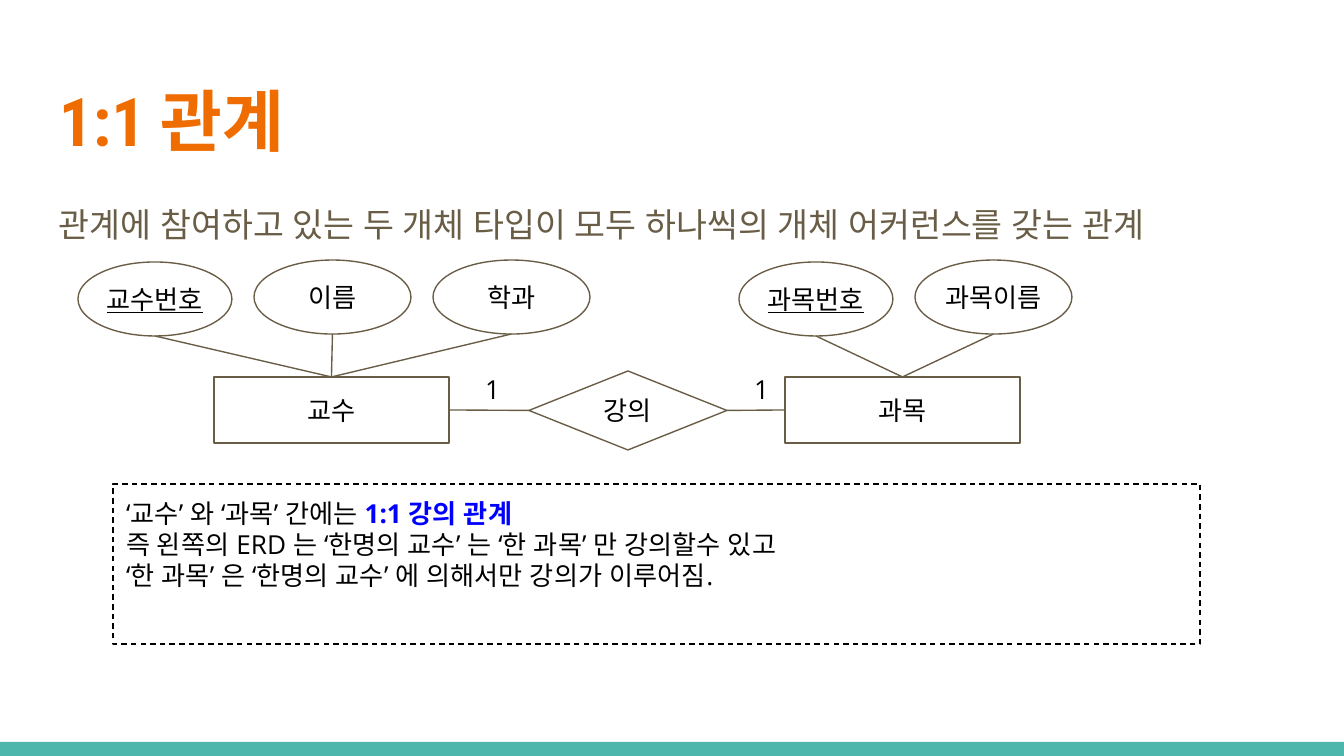
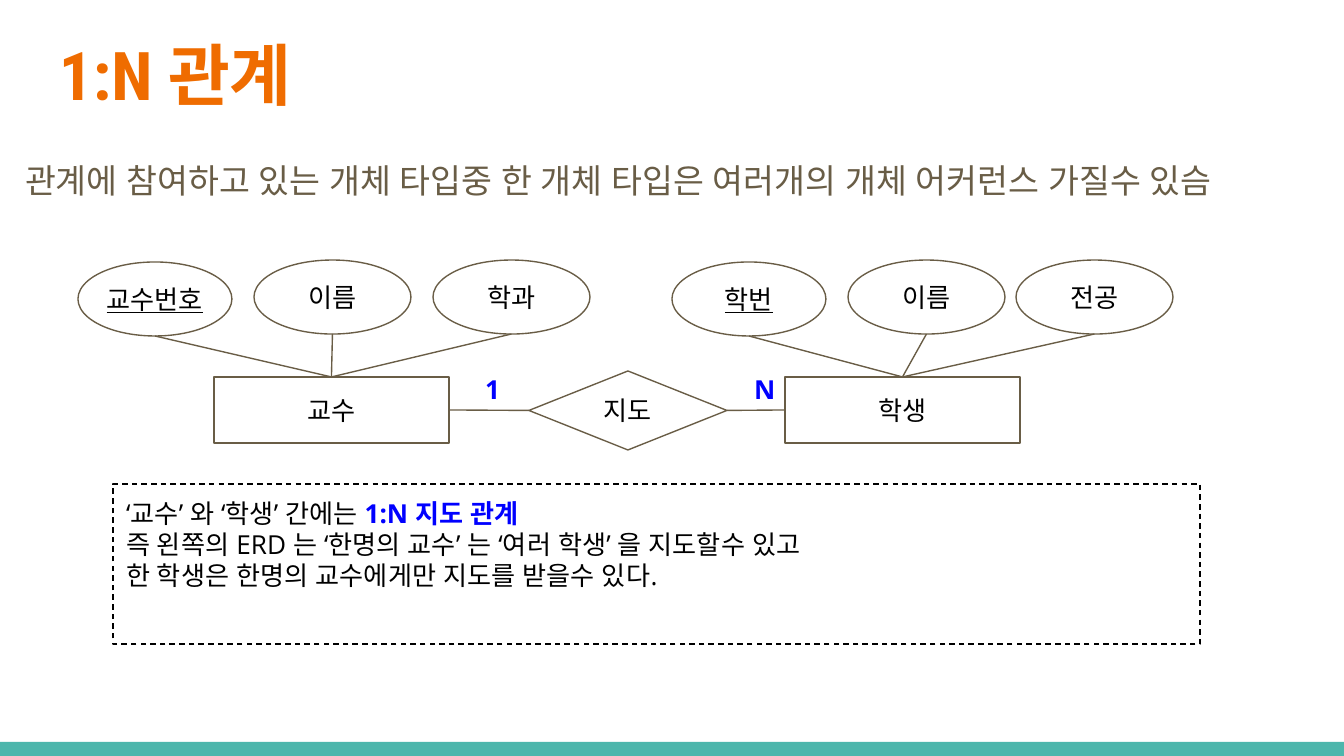
from dataclasses import dataclass

import pptx
import pptx.dml.color
import pptx.enum.dml
import pptx.enum.shapes
import pptx.enum.text
import pptx.oxml.ns
import pptx.util
from lxml import etree

SHAPE = pptx.enum.shapes.MSO_SHAPE
ALIGN = pptx.enum.text.PP_ALIGN
ANCHOR = pptx.enum.text.MSO_ANCHOR
EMU_PER_PX = 9144000 / 1344


@dataclass(frozen=True)
class Theme:
    white: str = "FFFFFF"
    black: str = "000000"
    band: str = "4DB6AC"
    title: str = "EF6C00"
    muted: str = "695D46"
    emphasis: str = "0000FF"
    title_font: str = "Roboto Condensed"
    body_font: str = "Open Sans"
    diagram_font: str = "Arial"
    title_size: int = 36
    lead_size: int = 18
    text_size: int = 14
    line_width: float = 0.75


THEME = Theme()

# Diagram geometry in px
ENTITY_TOP, ENTITY_WIDTH, ENTITY_HEIGHT = 377, 235, 66
LEFT_ENTITY, RIGHT_ENTITY = 214, 785
ATTRIBUTE_BOX = (260, 157, 74)  # top, width, height
KEY_BOX = (262, 154, 74)
PADDING = 13


def px(*lengths):
    return [pptx.util.Emu(round(length * EMU_PER_PX)) for length in lengths]


def rgb(color):
    return pptx.dml.color.RGBColor.from_string(color)


def style_paragraph(paragraph, name, size, color, bold=False):
    font = paragraph.font
    font.name, font.size, font.bold = name, pptx.util.Pt(size), bold
    font.color.rgb = rgb(color)
    # Hangul takes its typeface from the East Asian slot
    latin = font._element.find(pptx.oxml.ns.qn("a:latin"))
    east_asian = etree.Element(pptx.oxml.ns.qn("a:ea"), typeface=name)
    latin.addnext(east_asian)


def set_frame(frame, padding, anchor=ANCHOR.TOP):
    frame.word_wrap = True
    frame.vertical_anchor = anchor
    inset = px(padding)[0]
    frame.margin_left = frame.margin_right = inset
    frame.margin_top = frame.margin_bottom = inset


def add_text(slide, box, text, name, size, color, bold=False):
    frame = slide.shapes.add_textbox(*px(*box)).text_frame
    set_frame(frame, PADDING)
    paragraph = frame.paragraphs[0]
    paragraph.text = text
    style_paragraph(paragraph, name, size, color, bold)
    return paragraph


def add_box(slide, kind, box, fill=None, line=None):
    shape = slide.shapes.add_shape(kind, *px(*box))
    shape.shadow.inherit = False
    if fill:
        shape.fill.solid()
        shape.fill.fore_color.rgb = rgb(fill)
    else:
        shape.fill.background()
    if line:
        shape.line.color.rgb = rgb(line)
        shape.line.width = pptx.util.Pt(THEME.line_width)
    else:
        shape.line.fill.background()
    return shape


def add_node(slide, kind, box, text, underline=False):
    shape = add_box(slide, kind, box, THEME.white, THEME.muted)
    set_frame(shape.text_frame, 0, ANCHOR.MIDDLE)
    paragraph = shape.text_frame.paragraphs[0]
    paragraph.text = text
    paragraph.alignment = ALIGN.CENTER
    style_paragraph(paragraph, THEME.diagram_font, THEME.text_size, THEME.black)
    if underline:
        paragraph.font.underline = True
    return shape


def add_line(slide, start_x, start_y):
    connector = slide.shapes.add_connector(
        pptx.enum.shapes.MSO_CONNECTOR.STRAIGHT, start_x, start_y, start_x, start_y)
    connector.line.color.rgb = rgb(THEME.muted)
    connector.line.width = pptx.util.Pt(THEME.line_width)
    etree.SubElement(connector._element.spPr, pptx.oxml.ns.qn("a:effectLst"))
    return connector


def join_sides(slide, left_node, right_node):
    connector = add_line(slide, 0, 0)
    connector.begin_connect(left_node, 3)
    connector.end_connect(right_node, 1)


def add_entity(slide, left, name, attributes):
    """Draw an entity with its attributes; the first attribute is the key."""
    entity = add_node(slide, SHAPE.RECTANGLE,
                      (left, ENTITY_TOP, ENTITY_WIDTH, ENTITY_HEIGHT), name)
    for index, (attribute_left, label) in enumerate(attributes):
        is_key = index == 0
        top, width, height = KEY_BOX if is_key else ATTRIBUTE_BOX
        oval = add_node(slide, SHAPE.OVAL,
                        (attribute_left, top, width, height), label, is_key)
        connector = add_line(slide, oval.left + oval.width // 2, oval.top + oval.height)
        connector.end_connect(entity, 0)
    return entity


def add_note(slide, opening, emphasis, details):
    note = add_box(slide, SHAPE.RECTANGLE, (113, 484, 1087, 160), line=THEME.black)
    note.line.dash_style = pptx.enum.dml.MSO_LINE.DASH
    frame = note.text_frame
    set_frame(frame, PADDING)
    first = frame.paragraphs[0]
    first.add_run().text = opening
    highlighted = first.add_run()
    highlighted.text = emphasis
    for detail in details:
        frame.add_paragraph().text = detail
    for paragraph in frame.paragraphs:
        paragraph.alignment = ALIGN.LEFT
        style_paragraph(paragraph, THEME.body_font, THEME.text_size, THEME.black)
    for run, color, bold in ((first.runs[0], THEME.black, False),
                             (highlighted, THEME.emphasis, True)):
        run.font.color.rgb = rgb(color)
        run.font.bold = bold


def add_base(presentation, title, title_top, lead, lead_box):
    slide = presentation.slides.add_slide(presentation.slide_layouts[6])
    slide.background.fill.solid()
    slide.background.fill.fore_color.rgb = rgb(THEME.white)
    add_box(slide, SHAPE.RECTANGLE, (0, 742, 1344, 14), THEME.band)
    add_text(slide, (46, title_top, 1252, 103), title,
             THEME.title_font, THEME.title_size, THEME.title, True)
    paragraph = add_text(slide, lead_box, lead,
                         THEME.body_font, THEME.lead_size, THEME.muted)
    paragraph.line_spacing = 1.15
    paragraph.space_after = pptx.util.Pt(16)
    return slide


def add_relationship(slide, name, right_entity, right_attributes,
                     cardinalities, color, bold):
    professor = add_entity(slide, LEFT_ENTITY, "교수",
                           [(78, "교수번호"), (254, "이름"), (433, "학과")])
    partner = add_entity(slide, RIGHT_ENTITY, right_entity, right_attributes)
    diamond = add_node(slide, SHAPE.DIAMOND, (529, 371, 198, 79), name)
    join_sides(slide, professor, diamond)
    join_sides(slide, diamond, partner)
    for left, cardinality in zip((472, 741), cardinalities):
        add_text(slide, (left, 360, 43, 43), cardinality,
                 THEME.body_font, THEME.text_size, color, bold)


def main():
    presentation = pptx.Presentation()
    presentation.slide_width, presentation.slide_height = px(1344, 756)

    # One-to-one relationship
    slide = add_base(presentation, "1:1 관계", 66,
                     "관계에 참여하고 있는 두 개체 타입이 모두 하나씩의 개체 어커런스를 갖는 관계",
                     (46, 185, 1252, 67))
    add_relationship(slide, "강의", "과목", [(739, "과목번호"), (915, "과목이름")],
                     "11", THEME.black, False)
    add_note(slide, "‘교수’ 와 ‘과목’ 간에는 ", "1:1 강의 관계",
             ["즉 왼쪽의 ERD 는 ‘한명의 교수’ 는 ‘한 과목’ 만 강의할수 있고",
              "‘한 과목’ 은 ‘한명의 교수’ 에 의해서만 강의가 이루어짐."])

    # One-to-many relationship
    slide = add_base(presentation, "1:N 관계", 20,
                     "관계에 참여하고 있는 개체 타입중 한 개체 타입은 여러개의 개체 어커런스 가질수 있슴",
                     (12, 141, 1321, 66))
    add_relationship(slide, "지도", "학생",
                     [(672, "학번"), (848, "이름"), (1016, "전공")],
                     "1N", THEME.emphasis, True)
    add_note(slide, "‘교수’ 와 ‘학생’ 간에는 ", "1:N 지도 관계",
             ["즉 왼쪽의 ERD 는 ‘한명의 교수’ 는 ‘여러 학생’ 을 지도할수 있고",
              "한 학생은 한명의 교수에게만 지도를 받을수 있다."])

    presentation.save("out.pptx")


if __name__ == "__main__":
    main()
